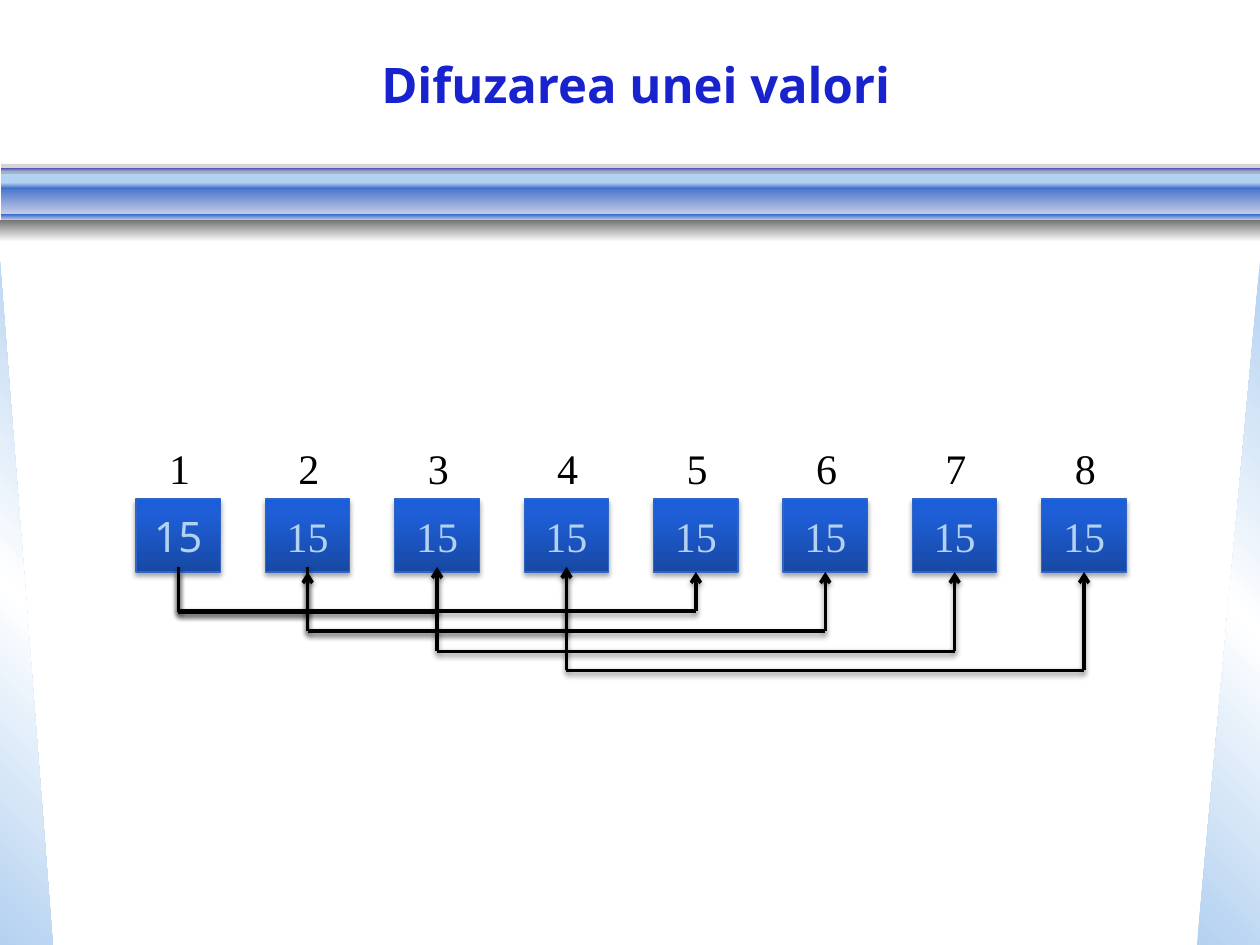
from lxml import etree
from pptx import Presentation
from pptx import util as u
from pptx.dml.color import RGBColor
from pptx.enum import shapes, text
from pptx.oxml import ns

Inches, Pt = u.Inches, u.Pt
rgb = RGBColor.from_string
RECT, TRIANGLE = shapes.MSO_SHAPE.RECTANGLE, shapes.MSO_SHAPE.RIGHT_TRIANGLE

prs = Presentation()
prs.slide_width, prs.slide_height = Inches(10), Inches(7.5)
slide = prs.slides.add_slide(prs.slide_layouts[5])


def add_block(kind, left, top, width, height, stops, angle=270):
    """Add an outline-free shape; stops are (percent, colour), one stop is a solid fill."""
    block = slide.shapes.add_shape(
        kind, Inches(left), Inches(top), Inches(width), Inches(height))
    block.shadow.inherit = False
    block.line.fill.background()
    if len(stops) == 1:
        block.fill.solid()
        block.fill.fore_color.rgb = rgb(stops[0][1])
        return block
    block.fill.gradient()
    block.fill.gradient_angle = angle
    stop_list = block._element.spPr.find(".//" + ns.qn("a:gsLst"))
    for old_stop in list(stop_list):
        stop_list.remove(old_stop)
    for percent, colour in stops:
        stop = etree.SubElement(stop_list, ns.qn("a:gs"), pos=str(percent * 1000))
        etree.SubElement(stop, ns.qn("a:srgbClr"), val=colour)
    return block


def add_shadow(item, distance, opacity):
    """Give a shape or connector a soft black shadow straight below it."""
    properties = item._element.spPr
    for old_effects in properties.findall(ns.qn("a:effectLst")):
        properties.remove(old_effects)
    effects = etree.SubElement(properties, ns.qn("a:effectLst"))
    shadow = etree.SubElement(
        effects, ns.qn("a:outerShdw"), blurRad=str(Pt(3.1)),
        dist=str(Pt(distance)), dir="5400000", rotWithShape="0")
    colour = etree.SubElement(shadow, ns.qn("a:srgbClr"), val="000000")
    etree.SubElement(colour, ns.qn("a:alpha"), val=str(opacity * 1000))


# Side wedges
wedge_stops = [(0, "B3D1F0"), (50, "FFFFFF"), (100, "B3D1F0")]
add_block(TRIANGLE, 0, 2.08, 0.42, 5.42, wedge_stops, 45)
right_wedge = add_block(TRIANGLE, 9.5, 2.08, 0.5, 5.42, wedge_stops, 315)
right_wedge._element.spPr.xfrm.set("flipH", "1")

# Banner under the title
for left, top, height, stops in [
    (0.01, 1.36, 0.1, [(0, "B3D1F0")]),
    (0.01, 1.46, 0.25, [(0, "3568C7"), (100, "CAD0E9")]),
    (0.01, 1.33, 0.03, [(0, "1822CD"), (100, "BABBE7")]),
    (0.01, 1.7, 0.05, [(0, "3568C7"), (100, "CAD0E9")]),
    (0.01, 1.45, 0.05, [(0, "B3D1F0"), (100, "3568C7")]),
    (0, 1.75, 0.17, [(0, "777777"), (100, "FFFFFF")]),
]:
    add_block(RECT, left, top, 10 - left, height, stops)
veil = add_block(RECT, 0.01, 1.3, 9.99, 0.08, [(0, "777777")])
veil_colour = veil._element.spPr.find(".//" + ns.qn("a:srgbClr"))
etree.SubElement(veil_colour, ns.qn("a:alpha"), val="31000")

# Numbered processors, each holding the value
PITCH, BOX_LEFT, BOX_TOP, BOX_W, BOX_H = 1.027, 1.08, 3.96, 0.67, 0.58
BOX_BOTTOM = BOX_TOP + BOX_H
processors = {}
for number in range(1, 9):
    left = BOX_LEFT + (number - 1) * PITCH
    processor = add_block(RECT, left, BOX_TOP, BOX_W, BOX_H,
                          [(0, "1749A5"), (80, "1E5ED6"), (100, "1B5EDB")], 90)
    processor.line.color.rgb = rgb("3065C6")
    processor.line.width = Pt(0.75)
    add_shadow(processor, 1.8, 35)
    processor.text_frame.text = "15"
    processor.text_frame.vertical_anchor = text.MSO_ANCHOR.MIDDLE
    processors[number] = processor

    index = slide.shapes.add_textbox(
        Inches(left + 0.16), Inches(3.46), Inches(0.37), Inches(0.5))
    index.text_frame.text = str(number)

    value_font = "Noto Sans" if number == 1 else "Times New Roman"
    for label, font_name, colour in [(processor, value_font, "B3D1F0"),
                                     (index, "Times New Roman", "000000")]:
        label.text_frame.word_wrap = False
        paragraph = label.text_frame.paragraphs[0]
        paragraph.alignment = text.PP_ALIGN.CENTER
        font = paragraph.runs[0].font
        font.name, font.size, font.color.rgb = font_name, Pt(24), rgb(colour)

# Broadcast routes: sender, receiver, depth of the run, height of both ends
for sender, receiver, depth, end in [
    (1, 2, 4.86, BOX_BOTTOM), (4, 8, 5.32, BOX_BOTTOM),
    (1, 3, 4.86, 4.5), (2, 4, 5.01, 4.5),
    (1, 5, 4.85, BOX_BOTTOM), (2, 6, 5.01, BOX_BOTTOM), (3, 7, 5.17, BOX_BOTTOM),
]:
    start_x, end_x = (BOX_LEFT + BOX_W / 2 + (n - 1) * PITCH for n in (sender, receiver))
    for x1, x2, y2, joined in [(start_x, end_x, depth, None),
                               (end_x, end_x, end, receiver),
                               (start_x, start_x, end, sender)]:
        route = slide.shapes.add_connector(
            shapes.MSO_CONNECTOR.STRAIGHT,
            Inches(x1), Inches(depth), Inches(x2), Inches(y2))
        route.line.color.rgb = rgb("000000")
        route.line.width = Pt(2)
        add_shadow(route, 1.6, 38)
        if joined and end == BOX_BOTTOM:
            route.end_connect(processors[joined], 2)
        if joined == receiver:
            etree.SubElement(route.line._get_or_add_ln(), ns.qn("a:tailEnd"), type="arrow")

# Title
title = slide.shapes.title
title.left, title.top, title.width, title.height = map(Inches, (0.17, 0.08, 9.75, 1.17))
title.text_frame.text = "Difuzarea unei valori"
title.text_frame.vertical_anchor = text.MSO_ANCHOR.MIDDLE
heading = title.text_frame.paragraphs[0]
heading.alignment = text.PP_ALIGN.CENTER
heading_font = heading.runs[0].font
heading_font.name, heading_font.size, heading_font.bold = "Noto Sans", Pt(28), True
heading_font.color.rgb = rgb("1822CD")

prs.save("out.pptx")
